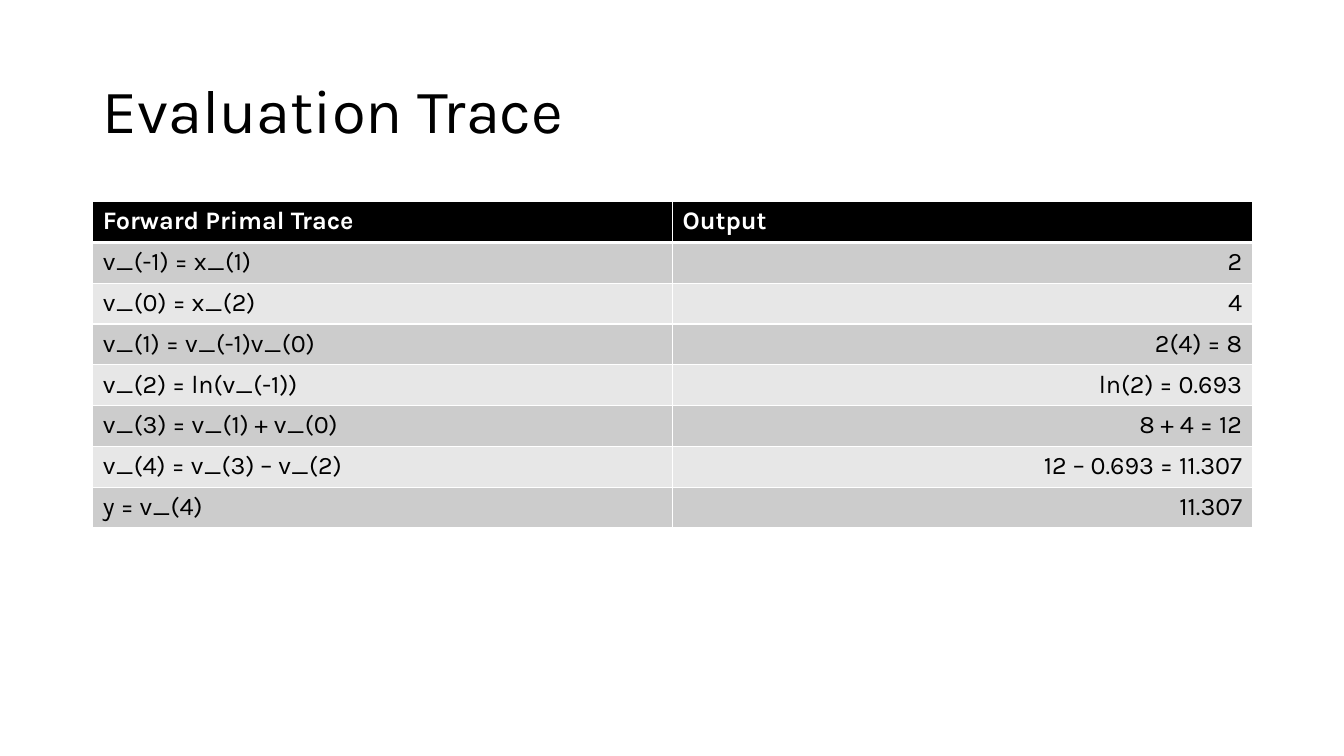
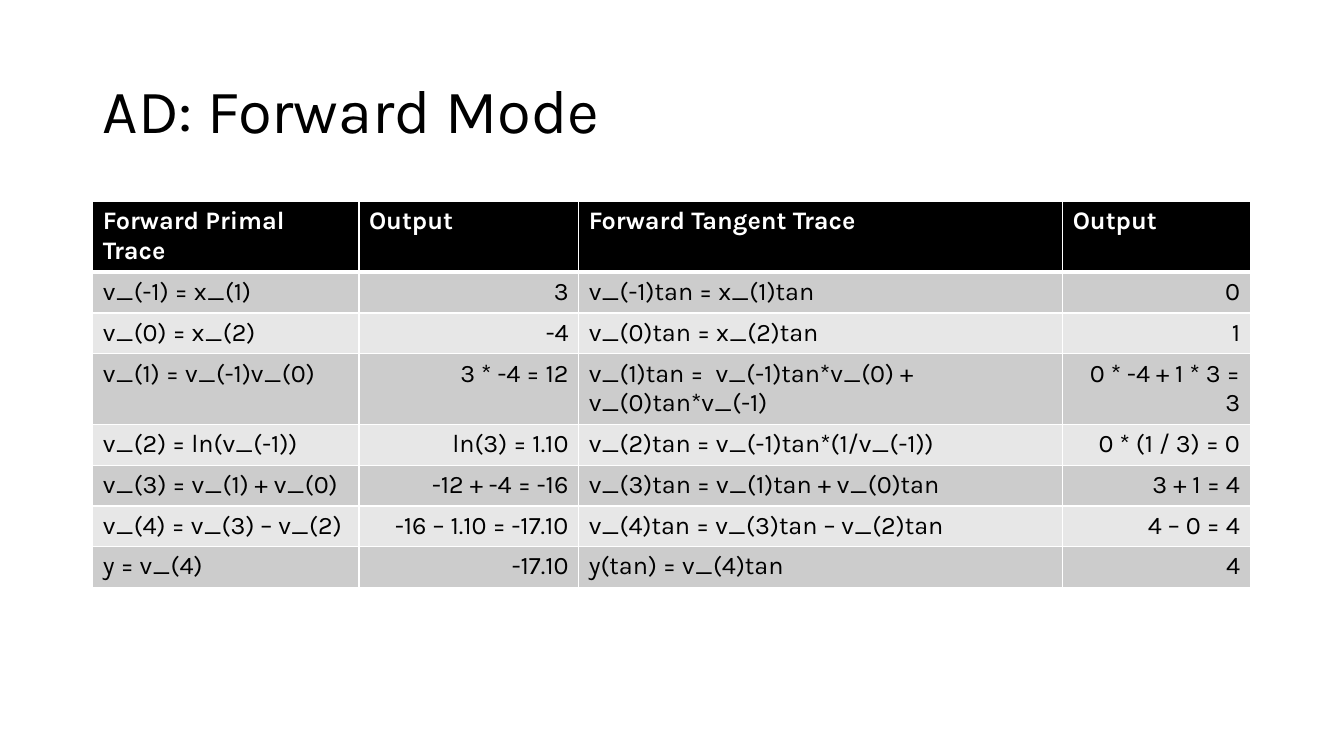
import pptx
import pptx.dml.color
import pptx.enum.text
import pptx.oxml.ns
import pptx.util
from lxml import etree
from pptx.util import Inches

BLACK = pptx.dml.color.RGBColor(0x00, 0x00, 0x00)
WHITE = pptx.dml.color.RGBColor(0xFF, 0xFF, 0xFF)
DARK_BAND = pptx.dml.color.RGBColor(0xCC, 0xCC, 0xCC)
LIGHT_BAND = pptx.dml.color.RGBColor(0xE7, 0xE7, 0xE7)
FONT = "Karla"
ALIGN = pptx.enum.text.PP_ALIGN
ANCHOR = pptx.enum.text.MSO_ANCHOR

TITLE_BOX = (0.92, 0.4, 11.5, 1.45)
TABLE_LEFT, TABLE_TOP = 0.92, 2
ROW_HEIGHT = 0.405
THIN, THICK = 1, 3

PRIMAL_STEPS = [
    "v_(-1) = x_(1)",
    "v_(0) = x_(2)",
    "v_(1) = v_(-1)v_(0)",
    "v_(2) = ln(v_(-1))",
    "v_(3) = v_(1) + v_(0)",
    "v_(4) = v_(3) – v_(2)",
    "y = v_(4)",
]
EVALUATION_OUTPUTS = [
    "2", "4", "2(4) = 8", "ln(2) = 0.693", "8 + 4 = 12",
    "12 – 0.693 = 11.307", "11.307",
]
FORWARD_OUTPUTS = [
    "3", "-4", "3 * -4 = 12", "ln(3) = 1.10", "-12 + -4 = -16",
    "-16 – 1.10 = -17.10", "-17.10",
]
TANGENT_STEPS = [
    "v_(-1)tan = x_(1)tan",
    "v_(0)tan = x_(2)tan",
    "v_(1)tan =  v_(-1)tan*v_(0) + v_(0)tan*v_(-1)",
    "v_(2)tan = v_(-1)tan*(1/v_(-1))",
    "v_(3)tan = v_(1)tan + v_(0)tan",
    "v_(4)tan = v_(3)tan – v_(2)tan",
    "y(tan) = v_(4)tan",
]
TANGENT_OUTPUTS = [
    "0", "1", "0 * -4 + 1 * 3 = 3", "0 * (1 / 3) = 0", "3 + 1 = 4",
    "4 – 0 = 4", "4",
]

# Each column: heading, width in inches, body cells
SLIDES = [
    ("Evaluation Trace", [
        ("Forward Primal Trace", 5.75, PRIMAL_STEPS),
        ("Output", 5.75, EVALUATION_OUTPUTS),
    ]),
    ("AD: Forward Mode", [
        ("Forward Primal Trace", 2.64, PRIMAL_STEPS),
        ("Output", 2.18, FORWARD_OUTPUTS),
        ("Forward Tangent Trace", 4.8, TANGENT_STEPS),
        ("Output", 1.86, TANGENT_OUTPUTS),
    ]),
]


def write_text(frame, text, size=18, color=BLACK, bold=False,
               align=ALIGN.LEFT, line_spacing=1.0):
    para = frame.paragraphs[0]
    para.alignment = align
    para.line_spacing = line_spacing
    span = para.add_run()
    span.text = text
    span.font.name = FONT
    span.font.size = pptx.util.Pt(size)
    span.font.bold = bold
    span.font.color.rgb = color


def add_title(page, text, box):
    frame = page.shapes.add_textbox(*map(Inches, box)).text_frame
    frame.word_wrap = True
    frame.vertical_anchor = ANCHOR.MIDDLE
    write_text(frame, text, size=44, line_spacing=0.9)


def set_borders(cell, top, bottom):
    """Draw white borders; top and bottom are widths in points."""
    properties = cell._tc.get_or_add_tcPr()
    for side, width in (("L", THIN), ("R", THIN), ("T", top), ("B", bottom)):
        line = etree.SubElement(properties, pptx.oxml.ns.qn(f"a:ln{side}"),
                                w=str(pptx.util.Pt(width)))
        fill = etree.SubElement(line, pptx.oxml.ns.qn("a:solidFill"))
        etree.SubElement(fill, pptx.oxml.ns.qn("a:srgbClr"), val=str(WHITE))


def style_cell(cell, row, fill):
    set_borders(cell, THICK if row == 1 else THIN, THICK if row == 0 else THIN)
    cell.fill.solid()
    cell.fill.fore_color.rgb = fill


def add_trace_table(page, columns, left, top):
    """Pair each column of steps with a right-aligned column of outputs."""
    row_count = len(columns[0][2]) + 1
    width = sum(column[1] for column in columns)
    table = page.shapes.add_table(
        row_count, len(columns), Inches(left), Inches(top),
        Inches(width), Inches(row_count * ROW_HEIGHT)).table
    for index, (heading, column_width, entries) in enumerate(columns):
        table.columns[index].width = Inches(column_width)
        header = table.cell(0, index)
        style_cell(header, 0, BLACK)
        write_text(header.text_frame, heading, color=WHITE, bold=True)
        for row, entry in enumerate(entries, start=1):
            cell = table.cell(row, index)
            style_cell(cell, row, DARK_BAND if row % 2 else LIGHT_BAND)
            write_text(cell.text_frame, entry,
                       align=ALIGN.RIGHT if index % 2 else ALIGN.LEFT)


def add_trace_slide(deck, title, columns):
    page = deck.slides.add_slide(deck.slide_layouts[6])
    add_title(page, title, TITLE_BOX)
    add_trace_table(page, columns, TABLE_LEFT, TABLE_TOP)


def main():
    deck = pptx.Presentation()
    deck.slide_width = Inches(13.33)
    deck.slide_height = Inches(7.5)
    for title, columns in SLIDES:
        add_trace_slide(deck, title, columns)
    deck.save("out.pptx")


if __name__ == "__main__":
    main()
